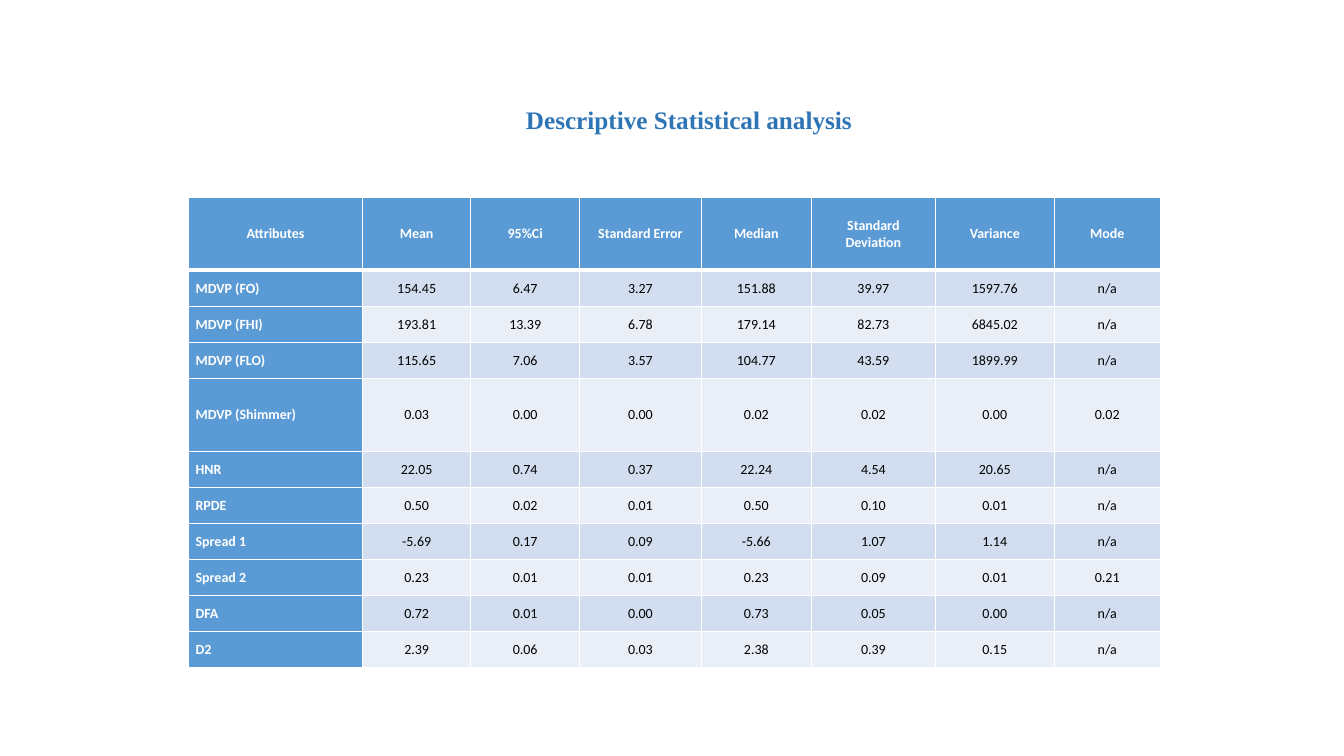
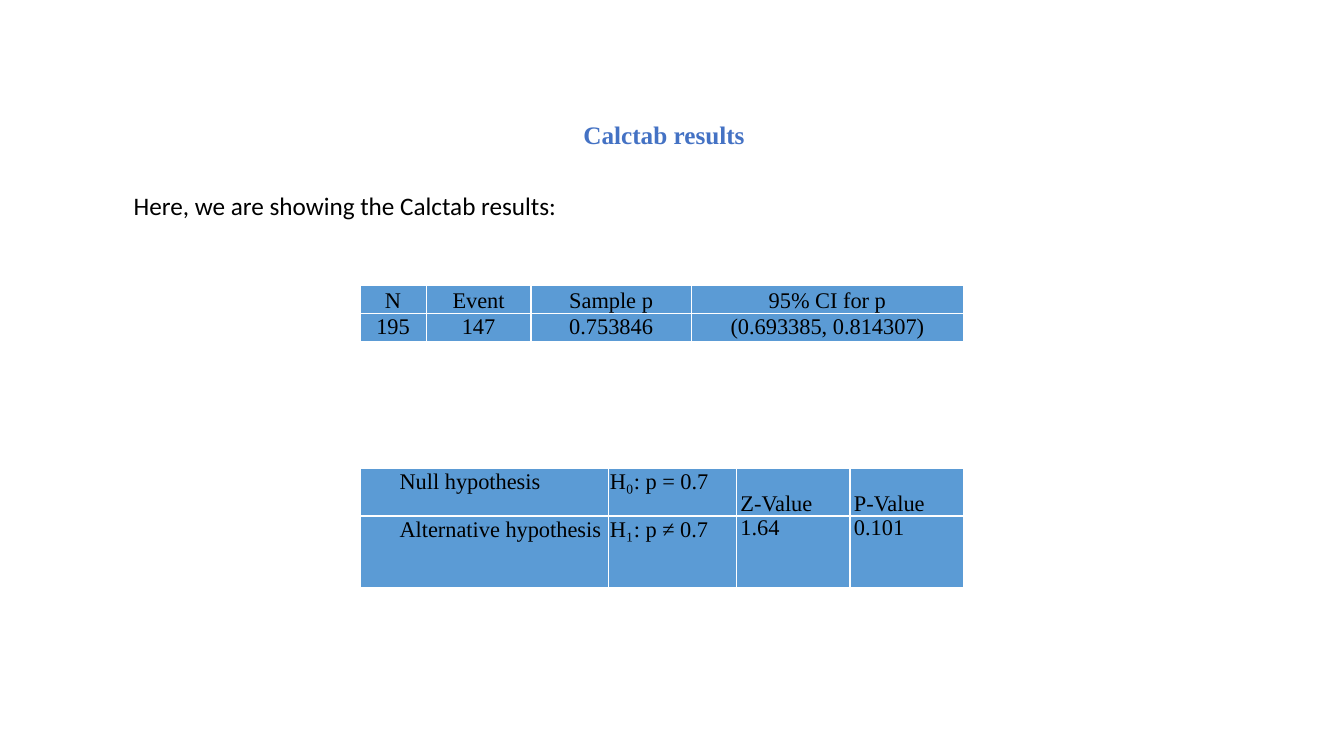
from lxml import etree
from pptx import Presentation
from pptx.dml.color import RGBColor
from pptx.enum.text import MSO_ANCHOR, MSO_AUTO_SIZE, PP_ALIGN
from pptx.oxml.ns import qn
from pptx.util import Cm, Pt

LEFT, CENTER = PP_ALIGN.LEFT, PP_ALIGN.CENTER
TOP, MIDDLE, BOTTOM = MSO_ANCHOR.TOP, MSO_ANCHOR.MIDDLE, MSO_ANCHOR.BOTTOM
NO_FIT = MSO_AUTO_SIZE.NONE
TITLE_ONLY = 5

SERIF, SANS = "Times New Roman", "Calibri"
WHITE, BLACK, BLUE = "FFFFFF", "000000", "5B9BD5"
BANDS = ("D2DEEF", "EAEFF7")
TITLE_DARK, TITLE_LIGHT = "2E75B6", "4472C4"

STATS = [
    ["Attributes", "Mean", "95%Ci", "Standard Error", "Median",
     "Standard Deviation", "Variance", "Mode"],
    ["MDVP (FO)", "154.45", "6.47", "3.27", "151.88", "39.97", "1597.76", "n/a"],
    ["MDVP (FHI)", "193.81", "13.39", "6.78", "179.14", "82.73", "6845.02", "n/a"],
    ["MDVP (FLO)", "115.65", "7.06", "3.57", "104.77", "43.59", "1899.99", "n/a"],
    ["MDVP (Shimmer)", "0.03", "0.00", "0.00", "0.02", "0.02", "0.00", "0.02"],
    ["HNR", "22.05", "0.74", "0.37", "22.24", "4.54", "20.65", "n/a"],
    ["RPDE", "0.50", "0.02", "0.01", "0.50", "0.10", "0.01", "n/a"],
    ["Spread 1", "-5.69", "0.17", "0.09", "-5.66", "1.07", "1.14", "n/a"],
    ["Spread 2", "0.23", "0.01", "0.01", "0.23", "0.09", "0.01", "0.21"],
    ["DFA", "0.72", "0.01", "0.00", "0.73", "0.05", "0.00", "n/a"],
    ["D2", "2.39", "0.06", "0.03", "2.38", "0.39", "0.15", "n/a"],
]
SAMPLE = [
    ["N", "Event", "Sample p", "95% CI for p"],
    ["195", "147", "0.753846", "(0.693385, 0.814307)"],
]
HYPOTHESES = [
    ["Null hypothesis", "H₀: p = 0.7", "Z-Value", "P-Value"],
    ["Alternative hypothesis", "H₁: p ≠ 0.7", "1.64", "0.101"],
]


def rgb(color):
    return RGBColor.from_string(color)


def apply(target, **values):
    for name, value in values.items():
        setattr(target, name, value)


def set_borders(cell, top=1, bottom=1):
    """Draw white cell borders; call before the fill, which must follow in the XML."""
    tc_pr = cell._tc.get_or_add_tcPr()
    for side, width in {"L": 1, "R": 1, "T": top, "B": bottom}.items():
        ln = etree.SubElement(tc_pr, qn(f"a:ln{side}"), w=str(Pt(width)))
        fill = etree.SubElement(ln, qn("a:solidFill"))
        etree.SubElement(fill, qn("a:srgbClr"), val=WHITE)


class Deck:
    def __init__(self):
        self.prs = Presentation()
        apply(self.prs, slide_width=Cm(33.87), slide_height=Cm(19.05))
        self.s = None

    def fill_text(self, tf, text, size=18, font=SANS, color=BLACK, bold=False, **para):
        p = tf.paragraphs[0]
        apply(p, **{"alignment": LEFT, **para})
        r = p.add_run()
        r.text = text
        apply(r.font, name=font, size=Pt(size), bold=bold)
        r.font.color.rgb = rgb(color)

    def add_slide(self, title, box, color, **para):
        self.s = self.prs.slides.add_slide(self.prs.slide_layouts[TITLE_ONLY])
        sp = self.s.shapes.title
        apply(sp, **dict(zip(("left", "top", "width", "height"), map(Cm, box))))
        apply(sp.text_frame, auto_size=NO_FIT, word_wrap=False, vertical_anchor=TOP)
        self.fill_text(sp.text_frame, title, font=SERIF, color=color, bold=True, **para)

    def text(self, text, box):
        tf = self.s.shapes.add_textbox(*map(Cm, box)).text_frame
        tf.word_wrap = False
        self.fill_text(tf, text)

    def table(self, rows, at, widths, heights, style):
        """Add a table; style(row, col) gives the format values of one cell."""
        size = sum(widths), sum(heights)
        table = self.s.shapes.add_table(
            len(rows), len(widths), *map(Cm, (*at, *size))).table
        table.horz_banding = False
        for col, width in zip(table.columns, widths):
            col.width = Cm(width)
        for row, height in zip(table.rows, heights):
            row.height = Cm(height)
        for i, values in enumerate(rows):
            for j, value in enumerate(values):
                look = style(i, j)
                cell = table.cell(i, j)
                set_borders(cell, **look.get("borders", {}))
                cell.fill.solid()
                cell.fill.fore_color.rgb = rgb(look.get("fill", BLUE))
                apply(cell, **look["cell"])
                self.fill_text(cell.text_frame, value, **look["text"])


def cell_format(anchor, left, right, top=0):
    return {"vertical_anchor": anchor, "margin_left": Cm(left),
            "margin_right": Cm(right), "margin_top": Cm(top), "margin_bottom": 0}


def stats_style(row, col):
    heading = row == 0 or col == 0
    return {
        "borders": {"top": 3 if row == 1 else 1, "bottom": 3 if row == 0 else 1},
        "fill": BLUE if heading else BANDS[(row - 1) % 2],
        "cell": cell_format(MIDDLE, 0.18, 0.18),
        "text": {"size": 10, "bold": heading, "color": WHITE if heading else BLACK,
                 "alignment": LEFT if row and not col else CENTER},
    }


def sample_style(row, col):
    return {
        "cell": cell_format(TOP if row else BOTTOM, 0.03, 0.03, 0.03),
        "text": {"size": 16, "font": SERIF, "alignment": CENTER},
    }


def hypothesis_style(row, col):
    if col < 2:
        cell = cell_format(TOP, 0.03 if col else 1, 0.03, 0.03)
    else:
        cell = cell_format(TOP if row else BOTTOM, 0.1, 0.1)
    return {"cell": cell, "text": {"size": 16, "font": SERIF}}


def main():
    deck = Deck()

    deck.add_slide("Descriptive Statistical analysis", (13, 1.75, 8.9, 1.55),
                   TITLE_DARK, line_spacing=2.0, space_before=Pt(2))
    stats_heights = [1.83 if i in (0, 4) else 0.91 for i in range(len(STATS))]
    deck.table(STATS, (4.75, 4.98),
               (4.39, 2.72, 2.75, 3.06, 2.78, 3.12, 3, 2.67),
               stats_heights, stats_style)

    deck.add_slide("Calctab results", (14.45, 2.87, 4.7, 1.8), TITLE_LIGHT)
    deck.text("Here, we are showing the Calctab results:", (3.12, 4.67, 11.4, 1.02))
    deck.table(SAMPLE, (9.07, 7.19), (1.67, 2.64, 4.04, 6.86),
               (0.68, 0.68), sample_style)
    deck.table(HYPOTHESES, (9.07, 11.81), (6.27, 3.22, 2.86, 2.86),
               (1.19, 1.8), hypothesis_style)

    deck.prs.save("out.pptx")


if __name__ == "__main__":
    main()
